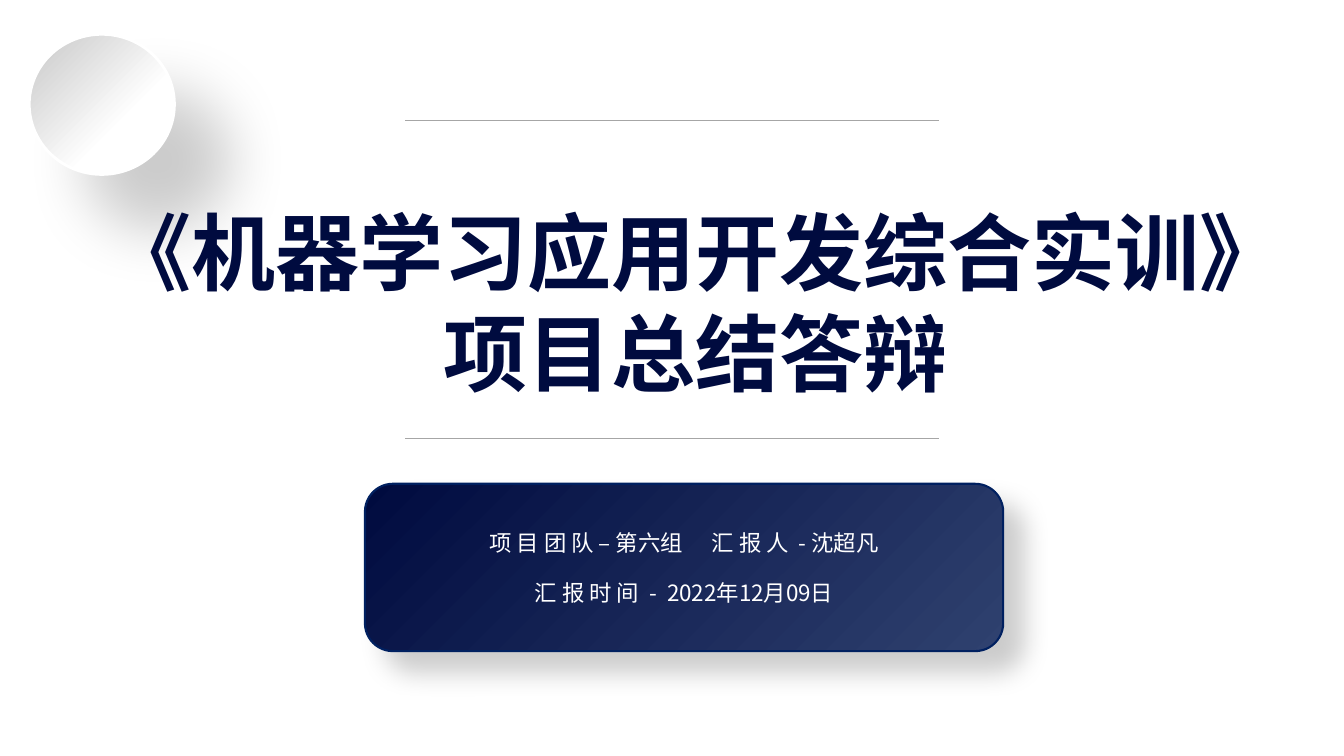
from dataclasses import dataclass

from lxml.etree import SubElement
from pptx import Presentation
from pptx.dml.color import RGBColor
from pptx.enum.shapes import MSO_CONNECTOR, MSO_SHAPE
from pptx.enum.text import MSO_ANCHOR, PP_ALIGN
from pptx.oxml.ns import qn
from pptx.util import Inches, Pt


@dataclass(frozen=True)
class Theme:
    """Colours, typeface and type sizes of the deck."""
    font: str = "Noto Sans CJK SC"
    navy: str = "000B3F"
    slate: str = "2F416F"
    border: str = "002060"
    white: str = "FFFFFF"
    silver: str = "C7C7C7"
    rule: str = "A6A6A6"
    black: str = "000000"
    title_size: int = 60
    body_size: int = 16


def add_xml(parent, tag, **attributes):
    """Append a drawing element and return it."""
    return SubElement(parent, qn(tag), {name: str(value) for name, value in attributes.items()})


def add_shadow(shape, color, alpha, blur, distance):
    """Cast a soft shadow to the lower right."""
    effects = add_xml(shape._element.spPr, "a:effectLst")
    shadow = add_xml(effects, "a:outerShdw", blurRad=Pt(blur), dist=Pt(distance),
                     dir=45 * 60000, algn="tl", rotWithShape=0)
    tint = add_xml(shadow, "a:srgbClr", val=color)
    add_xml(tint, "a:alpha", val=alpha * 1000)


def fill_gradient(shape, stops):
    """Fill a shape with a gradient running to the upper left."""
    shape.fill.gradient()
    gradient = shape._element.spPr.find(qn("a:gradFill"))
    for child in list(gradient):
        gradient.remove(child)
    stop_list = add_xml(gradient, "a:gsLst")
    for position, color in stops:
        stop = add_xml(stop_list, "a:gs", pos=position * 1000)
        add_xml(stop, "a:srgbClr", val=color)
    add_xml(gradient, "a:lin", ang=225 * 60000, scaled=0)


def write_text(frame, lines, *, font, size, color, bold=False, line_height=None, gap=0, inset=None):
    """Write centred lines, each a list of (text, letter spacing) spans."""
    frame.word_wrap = True
    frame.vertical_anchor = MSO_ANCHOR.MIDDLE
    if inset is not None:
        frame.margin_left = frame.margin_right = Inches(inset)
        frame.margin_top = frame.margin_bottom = Inches(inset)
    for index, spans in enumerate(lines):
        para = frame.paragraphs[0] if index == 0 else frame.add_paragraph()
        para.alignment = PP_ALIGN.CENTER
        if line_height:
            para.line_spacing = line_height
        if index:
            para.space_before = Pt(gap)
        for text, spacing in spans:
            span = para.add_run()
            span.text = text
            span.font.size = Pt(size)
            span.font.bold = bold
            span.font.color.rgb = RGBColor.from_string(color)
            span.font.name = font
            properties = span.font._element
            add_xml(properties, "a:ea", typeface=font)
            if spacing:
                properties.set("spc", str(round(spacing * 100)))


class SlideBuilder:
    """Draws styled elements on the current slide."""

    def __init__(self, page, theme):
        """Keep the slide and its theme."""
        self.page = page
        self.theme = theme

    def rule(self, left, right, top):
        """Draw a thin horizontal line."""
        line = self.page.shapes.add_connector(
            MSO_CONNECTOR.STRAIGHT, Inches(left), Inches(top), Inches(right), Inches(top))
        line.line.color.rgb = RGBColor.from_string(self.theme.rule)
        line.line.width = Pt(0.5)
        add_shadow(line, self.theme.white, 100, 0, 1)

    def shape(self, kind, area, stops, border, width, blur, distance):
        """Draw a gradient shape with a border and a shadow."""
        shape = self.page.shapes.add_shape(kind, *map(Inches, area))
        fill_gradient(shape, stops)
        shape.line.color.rgb = RGBColor.from_string(border)
        shape.line.width = Pt(width)
        add_shadow(shape, self.theme.black, 20, blur, distance)
        return shape

    def title(self, area, lines):
        """Place the slide title."""
        box = self.page.shapes.add_textbox(*map(Inches, area))
        write_text(box.text_frame, [[(line, 0)] for line in lines], font=self.theme.font,
                   size=self.theme.title_size, color=self.theme.navy, bold=True)

    def panel(self, area, lines):
        """Place the rounded panel with the presentation details."""
        theme = self.theme
        panel = self.shape(MSO_SHAPE.ROUNDED_RECTANGLE, area,
                           [(0, theme.slate), (100, theme.navy)], theme.border, 1.5, 19, 20)
        write_text(panel.text_frame, lines, font=theme.font, size=theme.body_size,
                   color=theme.white, gap=16, inset=0)


def main():
    """Build the cover slide."""
    deck = Presentation()
    deck.slide_width, deck.slide_height = Inches(13.33), Inches(7.5)
    theme = Theme()
    cover = SlideBuilder(deck.slides.add_slide(deck.slide_layouts[6]), theme)
    for top in (1.19, 4.35):
        cover.rule(4.02, 9.31, top)
    cover.shape(MSO_SHAPE.OVAL, (0.29, 0.34, 1.44, 1.39),
                [(0, theme.white), (36, theme.white), (100, theme.silver)],
                theme.white, 2, 44, 56)
    cover.title((0.95, 1.93, 11.9, 2.12), ["《机器学习应用开发综合实训》", "项目总结答辩"])
    wide, narrow = (" ", 17), (" ", 3.6)
    cover.panel((3.62, 4.8, 6.33, 1.66), [
        [("项 目 团 队 – 第六组", 0), wide, ("汇 报 人", 0), narrow, ("- 沈超凡", 0)],
        [("汇 报 时 间", 0), narrow, ("-", 0), narrow, ("2022年12月09日", 0)],
    ])
    deck.save("out.pptx")


if __name__ == "__main__":
    main()
